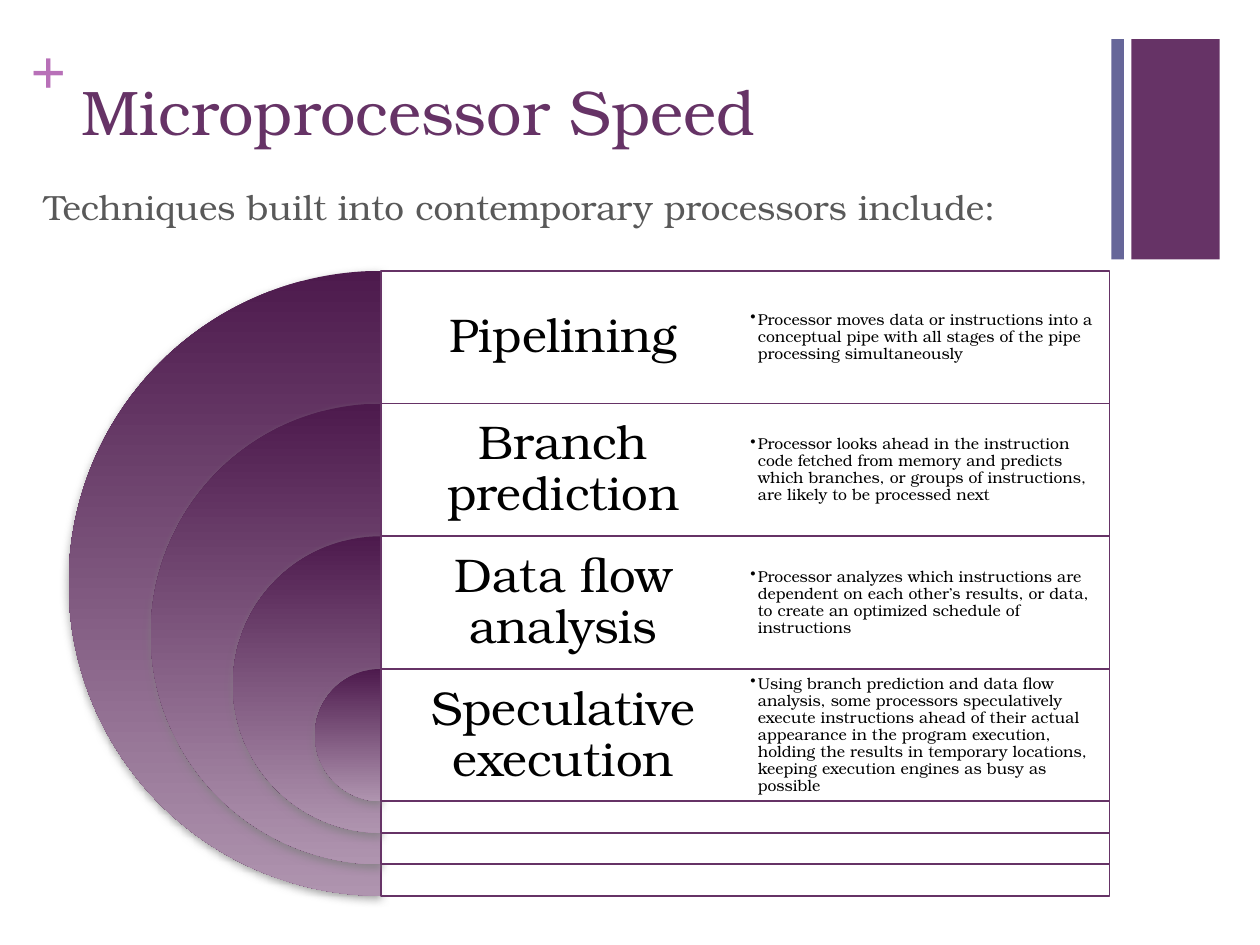
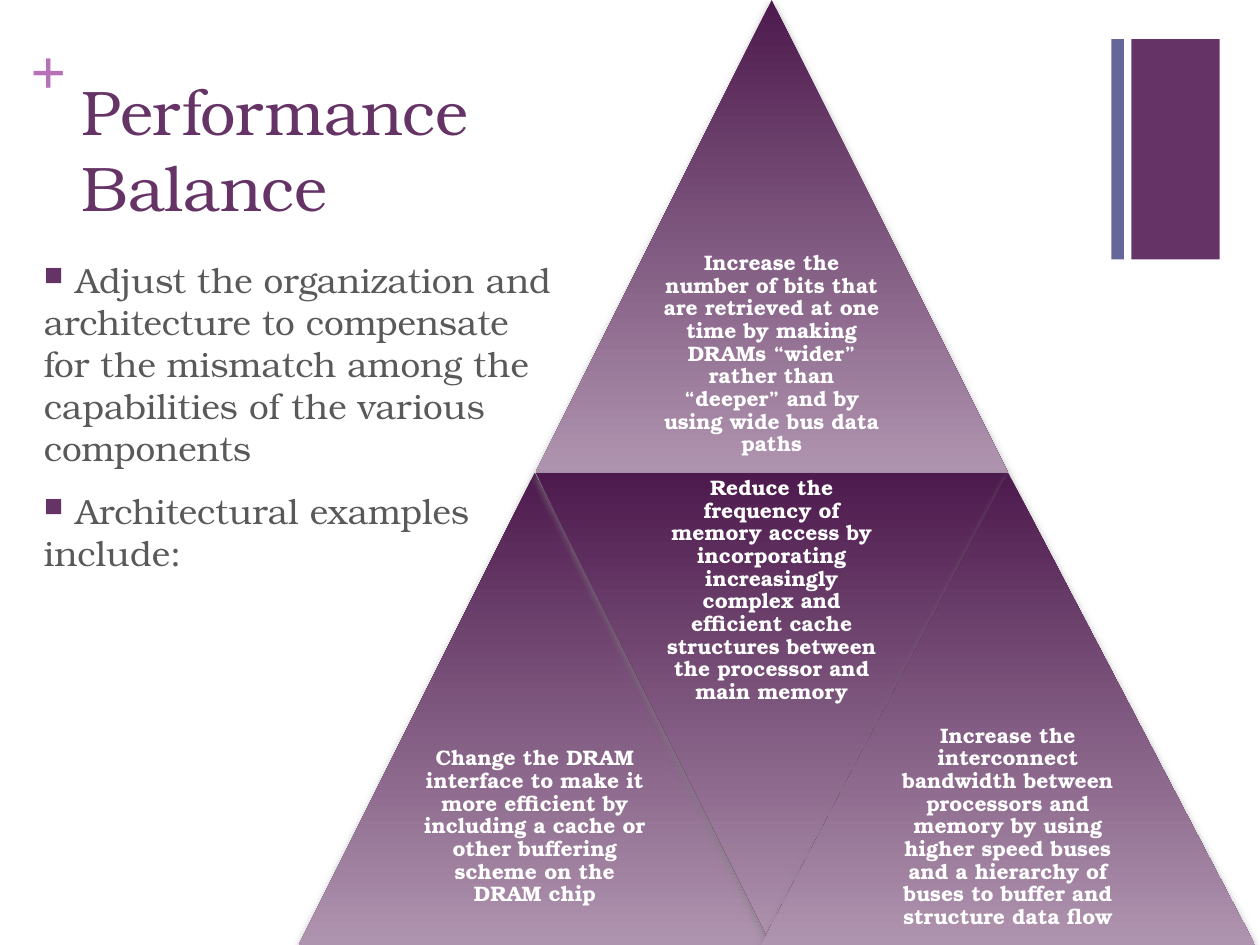
from lxml import etree
from pptx import Presentation
from pptx import util as u
from pptx.dml.color import RGBColor
from pptx.enum import shapes, text
from pptx.oxml.ns import qn

COLORS = {
    "plum": "663366",
    "slate": "666699",
    "orchid": "B870B8",
    "grad_dark": "4D1A4D",
    "grad_light": "AF94AF",
    "shadow": "808080",
    "body": "595959",
    "black": "000000",
    "white": "FFFFFF",
}
SERIF = "TeX Gyre Bonum"
CENTER = text.PP_ALIGN.CENTER
MIDDLE = text.MSO_ANCHOR.MIDDLE

# Formats: font attributes by role
TITLE = {"size": 36, "color": "plum"}
PLUS = {"size": 36, "color": "orchid", "bold": True, "name": "Times New Roman"}
BODY = {"size": 20, "color": "body"}
ROW_NAME = {"size": 27, "color": "black"}
ROW_DETAIL = {"size": 9, "color": "black"}
TRIANGLE = {"size": 12, "color": "white", "bold": True}


def rgb(key):
    return RGBColor.from_string(COLORS[key])


class Deck:
    """Holds the presentation style and the slide being built."""

    def __init__(self):
        self.prs = Presentation()
        self.prs.slide_width = u.Inches(10)
        self.prs.slide_height = u.Inches(7.5)
        self.slide = None

    def new_slide(self, title, title_width):
        self.slide = self.prs.slides.add_slide(self.prs.slide_layouts[6])
        self.block(8.98, 0.31, 0.7, 1.75, "plum")
        self.text(0.24, 0.25, 0.29, 0.61, ["+"], PLUS, inset=(0, 0))
        self.block(8.82, 0.31, 0.1, 1.75, "slate")
        self.text(0.55, 0.53, title_width, 1.22, [title], TITLE)

    def shape(self, kind, *box):
        shape = self.slide.shapes.add_shape(kind, *map(u.Inches, box))
        shape.shadow.inherit = False
        shape.line.fill.background()
        return shape

    def block(self, left, top, width, height, color):
        block = self.shape(shapes.MSO_SHAPE.RECTANGLE, left, top, width, height)
        block.fill.solid()
        block.fill.fore_color.rgb = rgb(color)
        return block

    def panel(self, left, top, width, height):
        """Slightly see-through white box with a plum outline."""
        panel = self.block(left, top, width, height, "white")
        panel.line.color.rgb = rgb("plum")
        panel.line.width = u.Pt(1)
        white = panel._element.spPr.find(qn("a:solidFill"))[0]
        etree.SubElement(white, qn("a:alpha"), val="90000")

    def shaded(self, kind, *box):
        """Shape with the plum gradient, upright at any rotation, and a soft shadow."""
        shape = self.shape(kind, *box)
        shape.fill.gradient()
        shape.fill.gradient_angle = 270
        for stop, color in zip(shape.fill.gradient_stops, ("grad_dark", "grad_light")):
            stop.color.rgb = rgb(color)
        props = shape._element.spPr
        props.find(qn("a:gradFill")).set("rotWithShape", "0")
        shadow = etree.SubElement(
            props.find(qn("a:effectLst")), qn("a:outerShdw"),
            blurRad=str(u.Pt(5)), dist=str(u.Pt(2)), dir="5400000", rotWithShape="0")
        tint = etree.SubElement(shadow, qn("a:srgbClr"), val=COLORS["shadow"])
        etree.SubElement(tint, qn("a:alpha"), val="75000")
        return shape

    def text(self, left, top, width, height, lines, font, inset=(0.1, 0.05),
             anchor=text.MSO_ANCHOR.TOP, **paragraph_format):
        box = self.slide.shapes.add_textbox(*map(u.Inches, (left, top, width, height)))
        frame = box.text_frame
        side, end = map(u.Inches, inset)
        frame_format = {"word_wrap": True, "vertical_anchor": anchor,
                        "margin_left": side, "margin_right": side,
                        "margin_top": end, "margin_bottom": end}
        for name, value in frame_format.items():
            setattr(frame, name, value)
        for number, line in enumerate(lines):
            paragraph = frame.paragraphs[0] if number == 0 else frame.add_paragraph()
            paragraph.text = line
            for name, value in paragraph_format.items():
                setattr(paragraph, name, value)
            for run in paragraph.runs:
                self.style(run.font, font)
        return frame.paragraphs

    def style(self, target, font):
        values = {"name": SERIF, **font}
        target.color.rgb = rgb(values.pop("color"))
        values["size"] = u.Pt(values["size"])
        for name, value in values.items():
            setattr(target, name, value)

    def indent(self, paragraph, margin, first, bullet=None, color=None, percent=100):
        props = paragraph._p.get_or_add_pPr()
        props.set("marL", str(u.Inches(margin)))
        props.set("indent", str(u.Inches(first)))
        if bullet:
            if color:
                holder = etree.SubElement(props, qn("a:buClr"))
                etree.SubElement(holder, qn("a:srgbClr"), val=COLORS[color])
            etree.SubElement(props, qn("a:buSzPct"), val=str(percent * 1000))
            etree.SubElement(props, qn("a:buChar"), char=bullet)


TECHNIQUES = [
    ("Pipelining",
     "Processor moves data or instructions into a conceptual pipe with all stages "
     "of the pipe processing simultaneously"),
    ("Branch prediction",
     "Processor looks ahead in the instruction code fetched from memory and predicts "
     "which branches, or groups of instructions, are likely to be processed next"),
    ("Data flow analysis",
     "Processor analyzes which instructions are dependent on each other’s results, "
     "or data, to create an optimized schedule of instructions"),
    ("Speculative execution",
     "Using branch prediction and data flow analysis, some processors speculatively "
     "execute instructions ahead of their actual appearance in the program execution, "
     "holding the results in temporary locations, keeping execution engines as busy "
     "as possible"),
]

# Left, top, width, points down, wording
EXAMPLES = [
    (4.25, 0, 3.75, False,
     "Increase the number of bits that are retrieved at one time by making DRAMs "
     "“wider” rather than “deeper” and by using wide bus data paths"),
    (2.37, 3.75, 3.75, False,
     "Change the DRAM interface to make it more efficient by including a cache or "
     "other buffering scheme on the DRAM chip"),
    (4.25, 3.75, 3.75, True,
     "Reduce the frequency of memory access by incorporating increasingly complex and "
     "efficient cache structures between the processor and main memory"),
    (6.04, 3.75, 3.92, False,
     "Increase the interconnect bandwidth between processors and memory by using higher "
     "speed buses and a hierarchy of buses to buffer and structure data flow"),
]

BALANCE_POINTS = [
    ["Adjust the organization and", "architecture to compensate",
     "for the mismatch among the", "capabilities of the various", "components"],
    ["Architectural examples", "include:"],
]


def build_speed(deck):
    deck.new_slide("Microprocessor Speed", 8.26)

    # Nested half discs, each with its panel
    axis, top, outer, row, shrink, column = 3.025, 2.15, 4.96, 1.053, 1.303, 2.89
    for level, (name, detail) in enumerate(TECHNIQUES):
        size = outer - level * shrink
        row_top = top + level * row
        disc = deck.shaded(shapes.MSO_SHAPE.PIE, axis - size / 2, row_top, size, size)
        disc.adjustments[0], disc.adjustments[1] = 54, 162
        deck.panel(axis, row_top, 2 * column, size)
        deck.text(axis, row_top, column, row, [name], ROW_NAME, (0.11, 0.11), MIDDLE,
                  alignment=CENTER, line_spacing=0.9)
        details = deck.text(axis + column, row_top, column, row, [detail], ROW_DETAIL,
                            (0.04, 0.04), MIDDLE, line_spacing=0.9)
        deck.indent(details[0], 0.06, -0.06, "•")

    # Lead-in
    lead = deck.text(0.25, 1.42, 8.27, 0.67,
                     ["Techniques built into contemporary processors include:"], BODY)
    deck.indent(lead[0], 0.25, -0.25)


def build_balance(deck):
    deck.new_slide("Performance \vBalance", 5.2)

    # Pyramid of four triangles
    height = 3.75
    for left, top, width, points_down, wording in EXAMPLES:
        triangle = deck.shaded(shapes.MSO_SHAPE.ISOSCELES_TRIANGLE,
                               left, top, width, height)
        triangle.rotation = 180 if points_down else 0
        text_top = top if points_down else top + height / 2
        deck.text(left + width / 4, text_top, width / 2, height / 2, [wording], TRIANGLE,
                  (0.05, 0.05), MIDDLE, alignment=CENTER, line_spacing=0.9)

    # Bulleted points, one paragraph a line
    lines = [line for point in BALANCE_POINTS for line in point]
    starts = [point[0] for point in BALANCE_POINTS]
    for paragraph in deck.text(0, 2, 4.83, 3.01, lines, BODY):
        if paragraph.text in starts:
            paragraph.space_before = u.Pt(12)
            deck.indent(paragraph, 0.5, -0.25, "■", "plum", 75)
        else:
            deck.indent(paragraph, 0.5, -0.25)


def main():
    deck = Deck()
    build_speed(deck)
    build_balance(deck)
    deck.prs.save("out.pptx")


if __name__ == "__main__":
    main()
